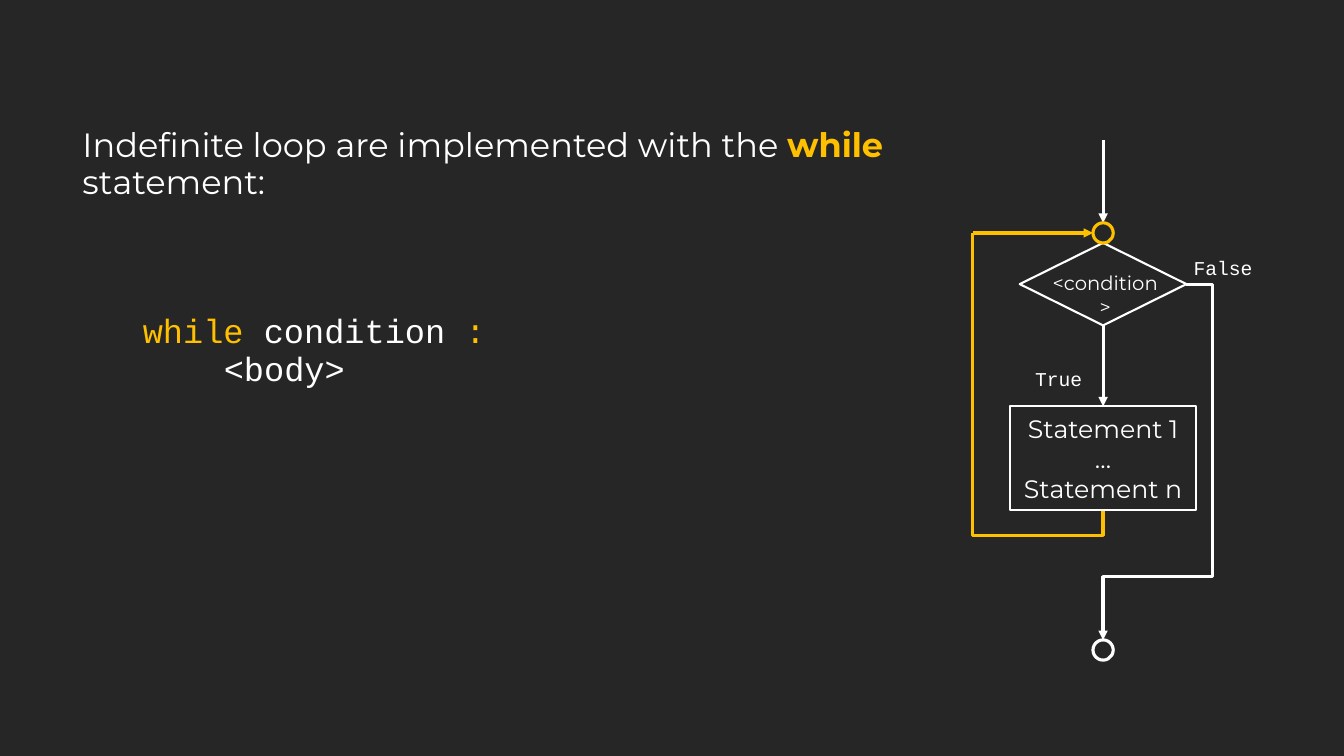
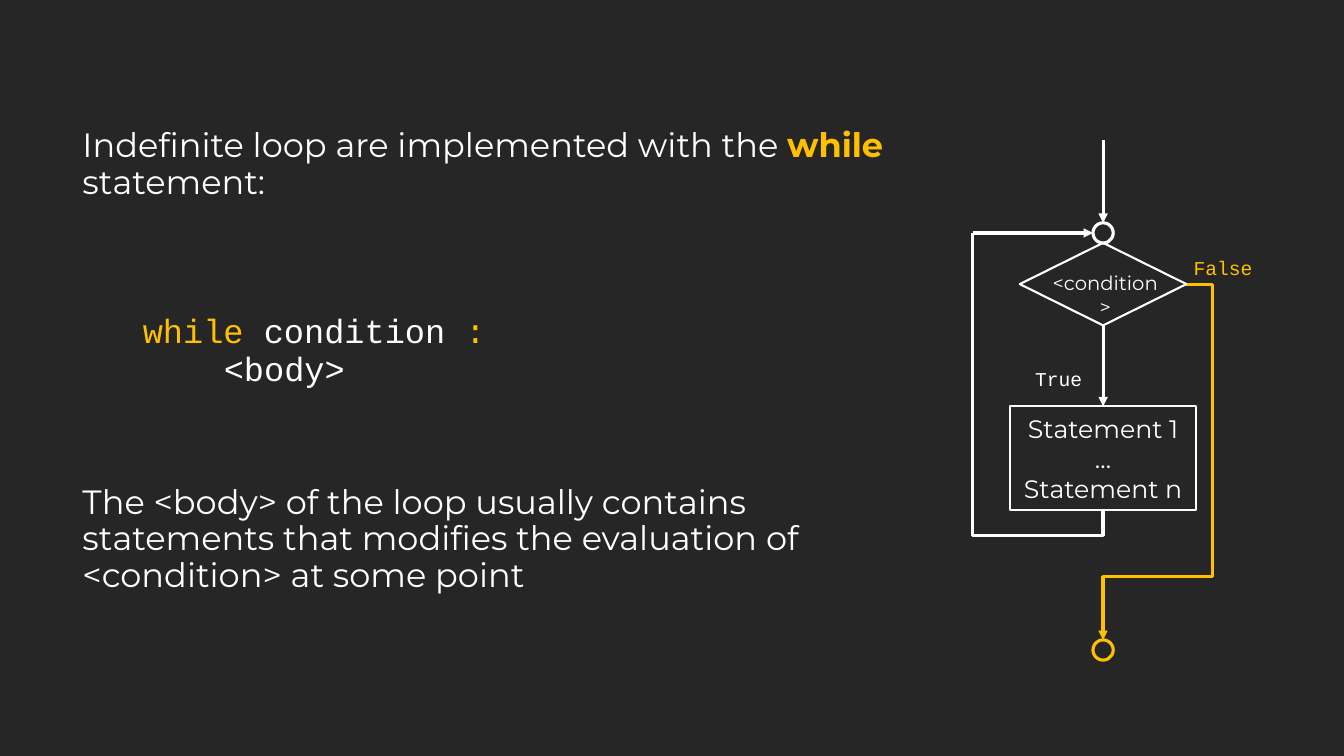
from dataclasses import dataclass

from lxml import etree
from pptx import Presentation
from pptx import util as u
from pptx.dml.color import RGBColor
from pptx.enum import shapes, text
from pptx.oxml.ns import qn


@dataclass(frozen=True)
class Theme:
    dark: RGBColor = RGBColor(0x26, 0x26, 0x26)
    white: RGBColor = RGBColor(0xFF, 0xFF, 0xFF)
    accent: RGBColor = RGBColor(0xFF, 0xC0, 0x00)
    prose: str = "Montserrat"
    code: str = "Courier New"
    body_size: u.Length = u.Pt(24)
    step_size: u.Length = u.Pt(18)
    label_size: u.Length = u.Pt(14)
    outline: u.Length = u.Pt(1.5)
    path_line: u.Length = u.Pt(2.25)


theme = Theme()


def write(para, spans, font, size, align=text.PP_ALIGN.LEFT):
    """Fill a paragraph with (words, colour, bold) spans."""
    para.alignment = align
    para.font.name, para.font.size = font, size
    for words, colour, bold in spans:
        span = para.add_run()
        span.text = words
        span.font.color.rgb = colour
        if bold:
            span.font.bold = True


def link(page, start, end, colour, arrow=True, preset=None, adjust=(), turned=False):
    """Join two points in cm; a turned link leaves its start vertically."""
    (x1, y1), (x2, y2) = start, end
    if turned:
        mid_x, mid_y = (x1 + x2) / 2, (y1 + y2) / 2
        half_w, half_h = abs(y2 - y1) / 2, abs(x2 - x1) / 2
        x1, x2 = mid_x + half_w, mid_x - half_w
        y1, y2 = mid_y - half_h, mid_y + half_h
    kind = shapes.MSO_CONNECTOR.ELBOW if preset else shapes.MSO_CONNECTOR.STRAIGHT
    line = page.shapes.add_connector(kind, *map(u.Cm, (x1, y1, x2, y2)))
    line.line.color.rgb = colour
    line.line.width = theme.path_line
    props = line.element.spPr
    if turned:
        props.find(qn("a:xfrm")).set("rot", "5400000")
    if preset:
        geometry = props.find(qn("a:prstGeom"))
        geometry.set("prst", preset)
        guides = geometry.find(qn("a:avLst"))
        if guides is None:
            guides = etree.SubElement(geometry, qn("a:avLst"))
        for number, share in enumerate(adjust, 1):
            etree.SubElement(guides, qn("a:gd"), name=f"adj{number}",
                             fmla=f"val {round(share * 100000)}")
    if arrow:
        etree.SubElement(props.find(qn("a:ln")), qn("a:tailEnd"), type="triangle")
    etree.SubElement(props, qn("a:effectLst"))


deck = Presentation()
deck.slide_width, deck.slide_height = u.Cm(33.87), u.Cm(19.05)
backdrop = deck.slide_master.background.fill
backdrop.solid()
backdrop.fore_color.rgb = theme.dark

# Flowchart geometry in cm
axis = 27.8
ring = 0.51
entry_top, join_y, exit_y = 3.53, 5.87, 16.38
test_top, test_w, test_h = 6.12, 4.2, 2.08
steps_top, steps_w, steps_h = 10.24, 4.67, 2.62
test_y, test_right = test_top + test_h / 2, axis + test_w / 2
steps_bottom = steps_top + steps_h
exit_top = exit_y - ring / 2
back_x, back_y = 24.51, 13.49
skip_x, skip_y = 30.56, 14.53

white, accent = theme.white, theme.accent
intro = [("Indefinite loop are implemented with the ", white, False),
         ("while", accent, True), (" statement:", white, False)]
header = [("while", accent, False), (" condition ", white, False), (":", accent, False)]
body = [("<body>", white, False)]
remark = [("The <body> of the loop usually contains statements that modifies "
           "the evaluation of <condition> at some point", white, False)]

# Spans, font, space before in points, left indent in cm
prose = [(intro, theme.prose, 0, 0), (header, theme.code, 81, 1.52),
         (body, theme.code, 1.3, 3.56)]
closing = [(remark, theme.prose, 69, 0)]

# Colour of the repeat path, colour of the exit path, paragraphs
versions = [(accent, white, prose), (white, accent, prose + closing)]

for repeat, leave, paragraphs in versions:
    page = deck.slides.add_slide(deck.slide_layouts[6])

    link(page, (test_right, test_y), (axis, exit_top), leave, preset="bentConnector4",
         adjust=((test_right - skip_x) / (test_right - axis),
                 (skip_y - test_y) / (exit_top - test_y)))
    link(page, (axis, steps_bottom), (back_x, join_y), repeat, arrow=False,
         preset="bentConnector3", turned=True,
         adjust=((steps_bottom - back_y) / (steps_bottom - join_y),))
    link(page, (axis, test_top + test_h), (axis, steps_top), white)
    link(page, (axis, entry_top), (axis, join_y - ring / 2), white)
    link(page, (back_x, join_y), (axis - ring / 2, join_y), repeat)

    kinds = shapes.MSO_SHAPE
    outlines = [
        (kinds.DIAMOND, test_top, test_w, test_h, white, theme.outline, ()),
        (kinds.RECTANGLE, steps_top, steps_w, steps_h, white, theme.outline,
         ("Statement 1", "…", "Statement n")),
        (kinds.OVAL, join_y - ring / 2, ring, ring, repeat, theme.path_line, ()),
        (kinds.OVAL, exit_top, ring, ring, leave, theme.path_line, ()),
    ]
    for kind, top, width, height, colour, weight, rows in outlines:
        shape = page.shapes.add_shape(
            kind, *map(u.Cm, (axis - width / 2, top, width, height)))
        shape.shadow.inherit = False
        shape.fill.background()
        shape.line.color.rgb, shape.line.width = colour, weight
        frame = shape.text_frame
        for index, row in enumerate(rows):
            para = frame.add_paragraph() if index else frame.paragraphs[0]
            write(para, [(row, white, False)], theme.prose, theme.step_size,
                  text.PP_ALIGN.CENTER)

    labels = [("<condition>", 26.14, 6.71, 3.43, theme.prose, white, True),
              ("False", 29.82, 6.32, 2.01, theme.code, leave, False),
              ("True", 25.83, 9.12, 1.7, theme.code, white, False)]
    for words, left, top, width, font, colour, wrap in labels:
        box = page.shapes.add_textbox(*map(u.Cm, (left, top, width, 0.86)))
        box.text_frame.word_wrap = wrap
        write(box.text_frame.paragraphs[0], [(words, colour, False)], font,
              theme.label_size, text.PP_ALIGN.CENTER)

    box = page.shapes.add_textbox(*map(u.Cm, (1.83, 3.12, 20.75, 12.62)))
    frame = box.text_frame
    frame.word_wrap = True
    for index, (spans, font, gap, indent) in enumerate(paragraphs):
        para = frame.add_paragraph() if index else frame.paragraphs[0]
        write(para, spans, font, theme.body_size)
        para.line_spacing, para.space_before = 0.9, u.Pt(gap)
        para._p.get_or_add_pPr().set("marL", str(u.Cm(indent)))

deck.save("out.pptx")
